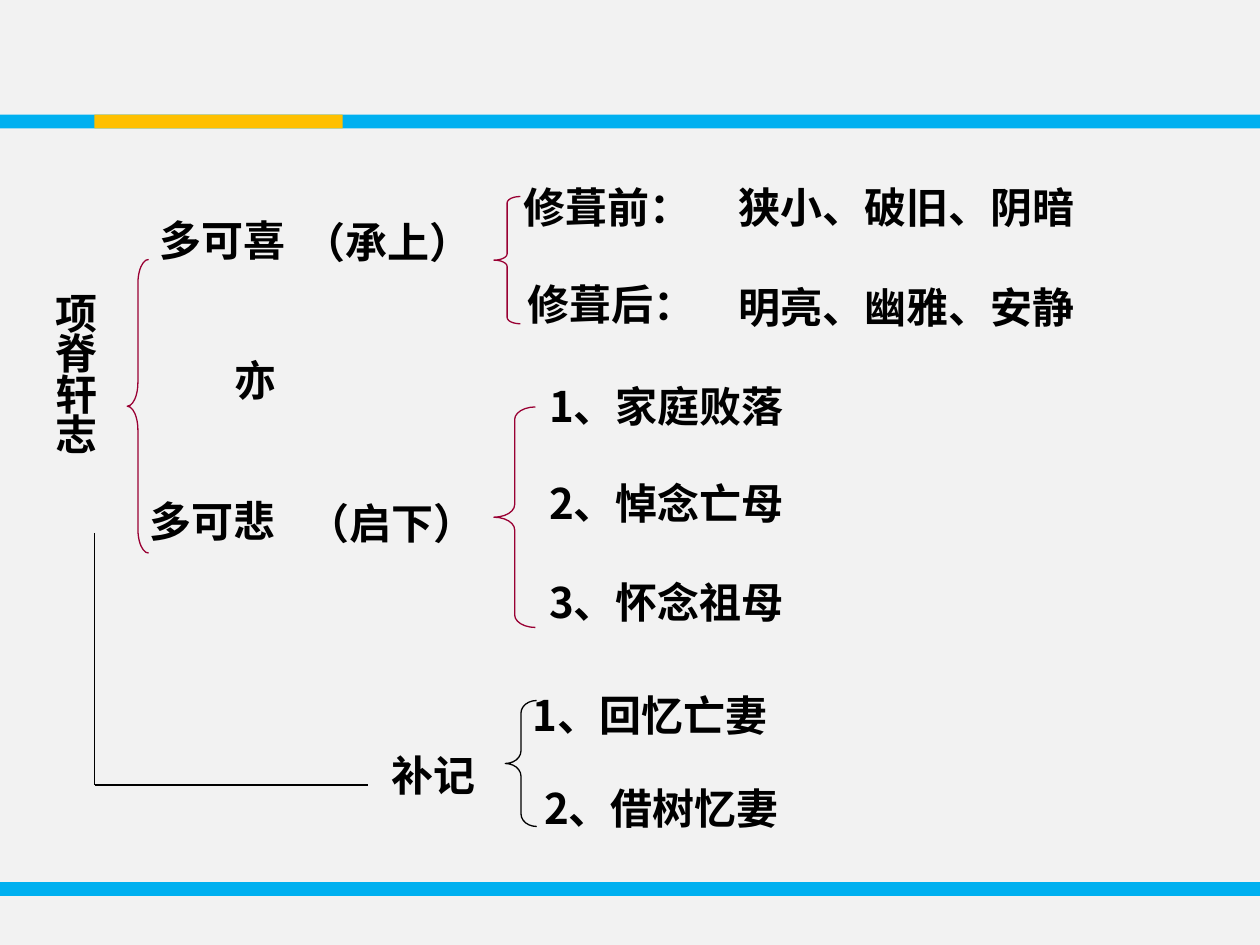
import pptx
import pptx.dml.color
import pptx.enum.shapes
import pptx.enum.text
import pptx.oxml
import pptx.oxml.ns
import pptx.util
from pptx.util import Inches

BACKGROUND = pptx.dml.color.RGBColor(0xF2, 0xF2, 0xF2)
BLUE = pptx.dml.color.RGBColor(0x00, 0xB0, 0xF0)
GOLD = pptx.dml.color.RGBColor(0xFF, 0xC0, 0x00)
CRIMSON = pptx.dml.color.RGBColor(0x99, 0x00, 0x33)
BLACK = pptx.dml.color.RGBColor(0x00, 0x00, 0x00)

SHAPES = pptx.enum.shapes.MSO_SHAPE


class Outline:
    typeface = "Noto Sans CJK SC"
    text_size = pptx.util.Pt(24)
    line_width = pptx.util.Pt(0.75)
    label_height = 0.42

    def __init__(self, slide):
        self.slide = slide
        slide.background.fill.solid()
        slide.background.fill.fore_color.rgb = BACKGROUND

    def bar(self, left, top, width, color):
        bar = self.slide.shapes.add_shape(
            SHAPES.RECTANGLE, Inches(left), Inches(top), Inches(width), Inches(0.11))
        bar.shadow.inherit = False
        bar.fill.solid()
        bar.fill.fore_color.rgb = color
        bar.line.fill.background()

    def label(self, text, left, top, width, height=label_height):
        box = self.slide.shapes.add_textbox(
            Inches(left), Inches(top), Inches(width), Inches(height))
        frame = box.text_frame
        frame.word_wrap = True
        frame.auto_size = pptx.enum.text.MSO_AUTO_SIZE.SHAPE_TO_FIT_TEXT
        paragraph = frame.paragraphs[0]
        paragraph.text = text
        paragraph.line_spacing = 0.8
        font = paragraph.font
        font.name = self.typeface
        font.size = self.text_size
        font.bold = True
        font.color.rgb = BLACK
        defaults = paragraph._p.pPr.find(pptx.oxml.ns.qn("a:defRPr"))
        east_asian = pptx.oxml.parse_xml(
            f'<a:ea {pptx.oxml.ns.nsdecls("a")} typeface="{self.typeface}"/>')
        defaults.append(east_asian)

    def brace(self, left, top, width, height, curve, color):
        brace = self.slide.shapes.add_shape(
            SHAPES.LEFT_BRACE, Inches(left), Inches(top), Inches(width), Inches(height))
        brace.shadow.inherit = False
        brace.adjustments[0] = curve / min(width, height)
        brace.fill.background()
        brace.line.color.rgb = color
        brace.line.width = self.line_width

    def line(self, start, end):
        line = self.slide.shapes.add_connector(
            pptx.enum.shapes.MSO_CONNECTOR.STRAIGHT,
            *(Inches(value) for value in start + end))
        line.line.color.rgb = BLACK
        line.line.width = self.line_width
        line._element.spPr.append(
            pptx.oxml.parse_xml(f'<a:effectLst {pptx.oxml.ns.nsdecls("a")}/>'))


def main():
    presentation = pptx.Presentation()
    presentation.slide_width = Inches(10)
    presentation.slide_height = Inches(7.5)
    outline = Outline(presentation.slides.add_slide(presentation.slide_layouts[6]))

    outline.bar(0, 7, 10, BLUE)
    outline.bar(0, 0.91, 10, BLUE)
    outline.bar(0.75, 0.91, 1.97, GOLD)

    outline.label("项脊轩志", 0.34, 2.31, 0.73, 1.38)
    outline.brace(1.01, 2.06, 0.17, 2.33, 0.19, CRIMSON)
    outline.brace(3.92, 1.56, 0.21, 1.01, 0.05, CRIMSON)
    outline.brace(3.92, 3.23, 0.33, 1.75, 0.1, CRIMSON)
    outline.brace(4.01, 5.56, 0.25, 1, 0.1, BLACK)

    corner = (0.75, 6.23)
    outline.line((0.75, 4.23), corner)
    outline.line(corner, (2.92, 6.23))

    for text, left, top, width in (
        ("多可喜", 1.17, 1.73, 1.75),
        ("亦", 1.76, 2.84, 0.59),
        ("多可悲", 1.09, 3.96, 1.7),
        ("（承上）", 2.31, 1.75, 1.71),
        ("修葺前：", 4.06, 1.47, 1.92),
        ("狭小、破旧、阴暗", 5.76, 1.47, 3.83),
        ("修葺后：", 4.09, 2.24, 1.78),
        ("明亮、幽雅、安静", 5.76, 2.26, 4.25),
        ("（启下）", 2.34, 3.98, 2.03),
        ("1、家庭败落", 4.26, 3.05, 4.5),
        ("2、悼念亡母", 4.26, 3.82, 4),
        ("3、怀念祖母", 4.26, 4.6, 2.83),
        ("补记", 3.01, 5.98, 1.73),
        ("1、回忆亡妻", 4.13, 5.5, 3.44),
        ("2、借树忆妻", 4.22, 6.24, 3.77),
    ):
        outline.label(text, left, top, width)

    presentation.save("out.pptx")


if __name__ == "__main__":
    main()
